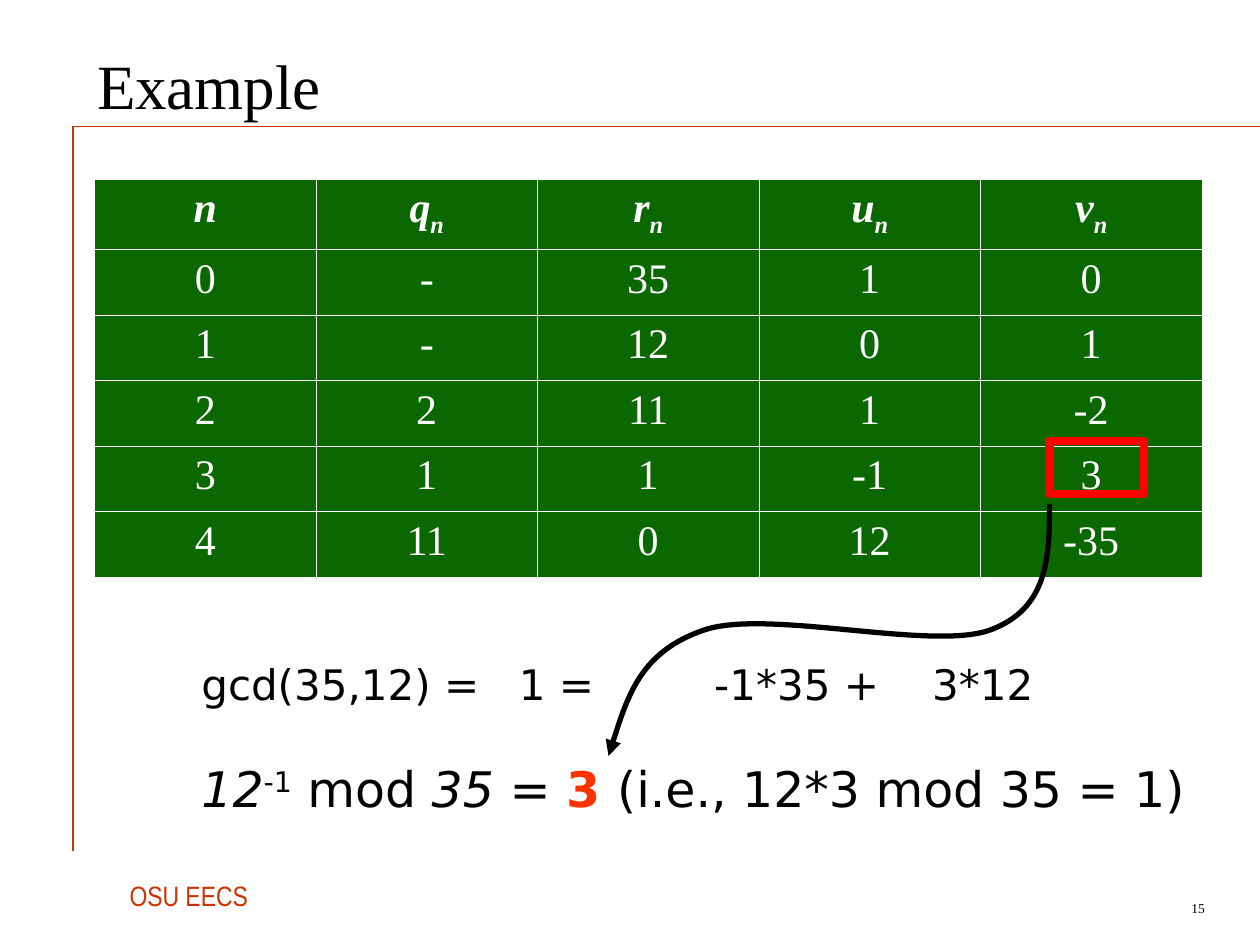
import pptx
import pptx.util
import pptx.dml.color
import pptx.enum.shapes
import pptx.enum.text
import pptx.oxml
import pptx.oxml.ns
import lxml.etree

Inches = pptx.util.Inches
Pt = pptx.util.Pt
align = pptx.enum.text.PP_ALIGN
qn = pptx.oxml.ns.qn
sub = lxml.etree.SubElement


def tint(code):
    return pptx.dml.color.RGBColor.from_string(code)


def style(run, size, face, code="000000", bold=False, slant=False, base=0):
    run.font.size = Pt(size)
    run.font.name = face
    run.font.color.rgb = tint(code)
    run.font.bold = bold
    run.font.italic = slant
    if base:
        run.font._element.set("baseline", str(base * 1000))


deck = pptx.Presentation()
deck.slide_width = Inches(10)
deck.slide_height = Inches(7.5)
slide = deck.slides.add_slide(deck.slide_layouts[5])
shapes = slide.shapes
serif = "Times New Roman"
sans = "DejaVu Sans"

for x, y, width in [(10, 1, 0.25), (0.58, 6.75, 0.75)]:
    rule = shapes.add_connector(
        pptx.enum.shapes.MSO_CONNECTOR.STRAIGHT,
        Inches(0.58), Inches(1), Inches(x), Inches(y))
    rule.line.color.rgb = tint("CC3300")
    rule.line.width = Pt(width)
    sub(rule._element.spPr, qn("a:effectLst"))

title = shapes.title
title.left, title.top = Inches(0.67), Inches(0.17)
title.width, title.height = Inches(9.01), Inches(1)
title.text_frame.text = "Example"
title.text_frame.vertical_anchor = pptx.enum.text.MSO_ANCHOR.MIDDLE
title.text_frame.paragraphs[0].alignment = align.LEFT
style(title.text_frame.paragraphs[0].runs[0], 36, serif)

foot = shapes.add_textbox(Inches(0.93), Inches(6.92), Inches(1.19), Inches(0.37))
foot.text_frame.text = "OSU EECS"
foot.text_frame.word_wrap = False
foot.text_frame.paragraphs[0].space_before = Pt(4)
style(foot.text_frame.paragraphs[0].runs[0], 16, "Arial Narrow", "CC3300")

page = shapes.add_textbox(Inches(8.83), Inches(7.08), Inches(0.83), Inches(0.25))
page.text_frame.text = "15"
page.text_frame.word_wrap = True
page.text_frame.vertical_anchor = pptx.enum.text.MSO_ANCHOR.MIDDLE
page.text_frame.paragraphs[0].alignment = align.RIGHT
style(page.text_frame.paragraphs[0].runs[0], 7.7, serif)

rows = [
    ["n", "q", "r", "u", "v"],
    ["0", "-", "35", "1", "0"],
    ["1", "-", "12", "0", "1"],
    ["2", "2", "11", "1", "-2"],
    ["3", "1", "1", "-1", "3"],
    ["4", "11", "0", "12", "-35"],
]
grid = shapes.add_table(6, 5, Inches(0.75), Inches(1.42), Inches(8.79), Inches(3.16)).table
for col in grid.columns:
    col.width = Inches(8.79 / 5)
for i, row in enumerate(rows):
    head = i == 0
    grid.rows[i].height = Inches(0.56 if head else 0.52)
    for j, word in enumerate(row):
        cell = grid.cell(i, j)
        cell.text_frame.text = word
        para = cell.text_frame.paragraphs[0]
        para.alignment = align.CENTER
        style(para.runs[0], 24, serif, "FFFFFF", head, head)
        if head and j > 0:
            index = para.add_run()
            index.text = "n"
            style(index, 24, serif, "FFFFFF", True, True, -25)
        props = cell._tc.get_or_add_tcPr()
        for side in ["lnL", "lnR", "lnT", "lnB"]:
            edge = sub(props, qn("a:" + side), w=str(Pt(0.45)))
            sub(sub(edge, qn("a:solidFill")), qn("a:srgbClr"), val="FFFFFF")
        cell.fill.solid()
        cell.fill.fore_color.rgb = tint("0B6800")

proof = shapes.add_textbox(Inches(1.5), Inches(5.18), Inches(8.42), Inches(2.07)).text_frame
proof.word_wrap = True
gcd = proof.paragraphs[0]
gcd.text = "gcd(35,12) =\t1 =\t-1*35 +\t3*12"
gcd.space_before = Pt(15)
style(gcd.runs[0], 24, sans)
tabs = sub(gcd._p.get_or_add_pPr(), qn("a:tabLst"))
for stop in [2.52, 4.07, 5.8]:
    sub(tabs, qn("a:tab"), pos=str(Inches(stop)), algn="l")

mod = proof.add_paragraph()
mod.space_before = Pt(28)
for word, look in [
    ("12", {"slant": True}),
    ("-1", {"base": 30}),
    (" mod ", {}),
    ("35", {"slant": True}),
    (" = ", {}),
    ("3 ", {"code": "FF3300", "bold": True}),
    ("(i.e., 12*3 mod 35 = 1)", {}),
]:
    run = mod.add_run()
    run.text = word
    style(run, 28, sans, **look)

box = shapes.add_shape(
    pptx.enum.shapes.MSO_SHAPE.RECTANGLE,
    Inches(8.33), Inches(3.5), Inches(0.75), Inches(0.42))
box.shadow.inherit = False
box.fill.background()
box.line.color.rgb = tint("FF0000")
box.line.width = Pt(5)

bends = [
    (8.33, 4.42), (8.32, 4.83), (7.86, 5),
    (7.4, 5.17), (6.09, 4.83), (5.59, 5),
    (5.09, 5.17), (4.96, 5.58), (4.83, 6),
]
pen = shapes.build_freeform(Inches(8.33), Inches(4))
pen.add_line_segments([(Inches(x), Inches(y)) for x, y in bends], close=False)
curve = pen.convert_to_shape()
curve.shadow.inherit = False
curve.fill.background()
curve.line.color.rgb = tint("000000")
curve.line.width = Pt(3)
sub(curve.line._get_or_add_ln(), qn("a:tailEnd"), type="triangle")
steps = list(curve._element.iter(qn("a:lnTo")))
track = steps[0].getparent()
for k in range(0, len(steps), 3):
    arc = sub(track, qn("a:cubicBezTo"))
    for step in steps[k:k + 3]:
        arc.append(step[0])
        track.remove(step)

deck.save("out.pptx")
